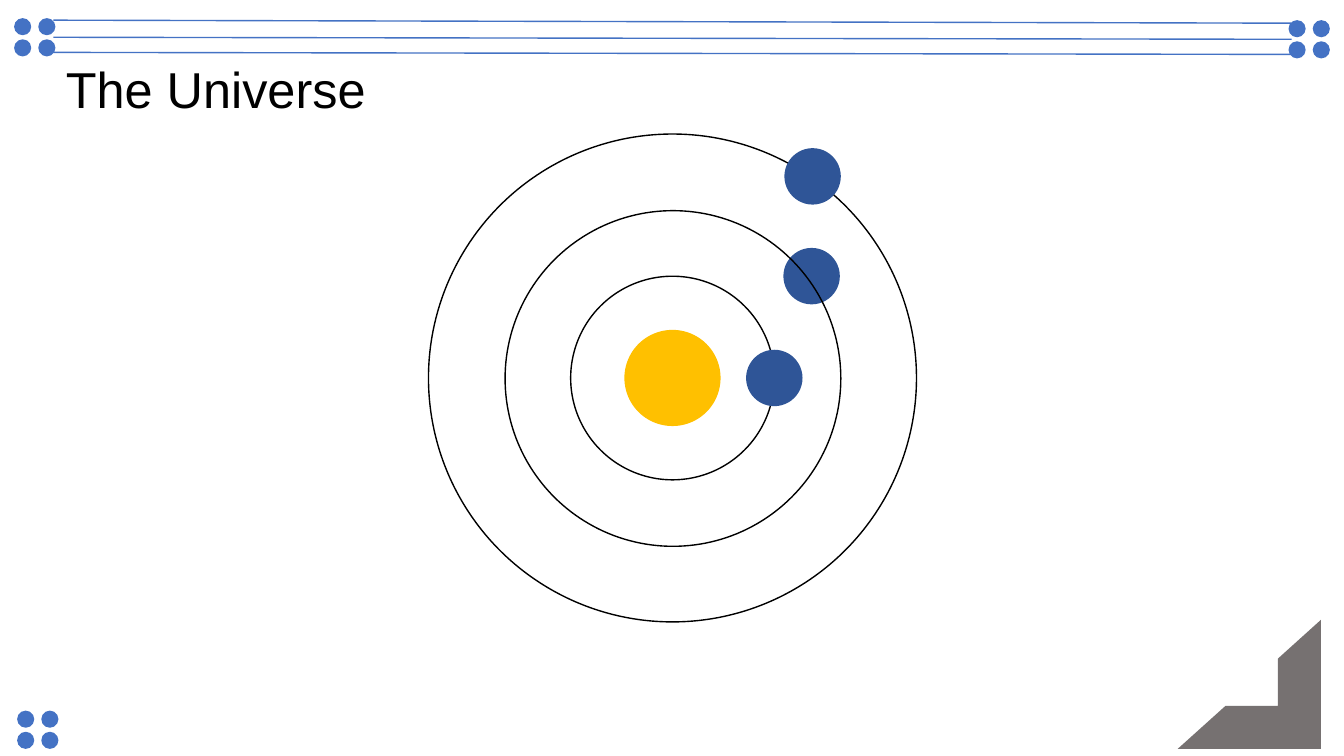
from dataclasses import dataclass
from itertools import product

from lxml import etree
from pptx import Presentation
from pptx.dml.color import RGBColor
from pptx.enum.shapes import MSO_CONNECTOR, MSO_SHAPE
from pptx.enum.text import MSO_ANCHOR, MSO_AUTO_SIZE, PP_ALIGN
from pptx.oxml.ns import qn
from pptx.util import Emu, Pt

OVAL = MSO_SHAPE.OVAL
HALF_FRAME = MSO_SHAPE.HALF_FRAME
STRAIGHT = MSO_CONNECTOR.STRAIGHT
MIDDLE = MSO_ANCHOR.MIDDLE
FIXED_SIZE = MSO_AUTO_SIZE.NONE
CENTER = PP_ALIGN.CENTER
EMU_PER_PX = 9144
TITLE_ONLY = 5


@dataclass(frozen=True)
class Theme:
    """Colours, type and line sizes of the slide."""
    accent: RGBColor = RGBColor(0x44, 0x72, 0xC4)
    planet: RGBColor = RGBColor(0x2F, 0x55, 0x97)
    sun: RGBColor = RGBColor(0xFF, 0xC0, 0x00)
    corner: RGBColor = RGBColor(0x76, 0x71, 0x71)
    ink: RGBColor = RGBColor(0x00, 0x00, 0x00)
    font: str = "Arial"
    title_size: Pt = Pt(36)
    line_width: Pt = Pt(1)


THEME = Theme()
SUN_CENTER = (667, 375)
SUN_DIAMETER = 94
PLANET_DIAMETER = 56
DOT_DIAMETER = 17
DOT_PITCH = (24, 21)
DOT_CLUSTERS = ((14, 18), (17, 705), (1278, 20))
RULES = ((20, 23), (37, 39), (52, 54))


def px(length):
    """Turn a length in px into EMU."""
    return Emu(length * EMU_PER_PX)


def apply_format(target, values):
    """Set each attribute of the target from a dict."""
    for name, value in values.items():
        setattr(target, name, value)


def add_shape(slide, kind, box, fill=None, line=None):
    """Add a preset shape with an optional fill and outline."""
    shape = slide.shapes.add_shape(kind, *map(px, box))
    shape.shadow.inherit = False
    if fill is None:
        shape.fill.background()
    else:
        shape.fill.solid()
        shape.fill.fore_color.rgb = fill
    if line is None:
        shape.line.fill.background()
    else:
        shape.line.color.rgb = line
        shape.line.width = THEME.line_width
    return shape


def add_circle(slide, center, diameter, fill=None, line=None):
    """Add a circle around a centre point."""
    left, top = (value - diameter // 2 for value in center)
    add_shape(slide, OVAL, (left, top, diameter, diameter), fill, line)


def add_dot_cluster(slide, left, top):
    """Add a two by two block of dots."""
    for row, column in product(range(2), repeat=2):
        box = (left + column * DOT_PITCH[0], top + row * DOT_PITCH[1],
               DOT_DIAMETER, DOT_DIAMETER)
        add_shape(slide, OVAL, box, THEME.accent)


def add_rule(slide, start_y, end_y):
    """Add one line of the top border."""
    rule = slide.shapes.add_connector(
        STRAIGHT, px(53), px(start_y), px(1281), px(end_y))
    rule.line.color.rgb = THEME.accent
    rule.line.width = THEME.line_width
    etree.SubElement(rule._element.spPr, qn("a:effectLst"))


def add_orbit(slide, diameter):
    """Add an orbit around the sun."""
    add_circle(slide, SUN_CENTER, diameter, line=THEME.ink)


def add_planet(slide, center):
    """Add a planet at a centre point."""
    add_circle(slide, center, PLANET_DIAMETER, THEME.planet)


def set_title(slide, text):
    """Fill, place and format the title placeholder."""
    title = slide.shapes.title
    apply_format(title, {"left": px(54), "top": px(52),
                         "width": px(320), "height": px(71)})
    frame = title.text_frame
    frame.text = text
    apply_format(frame, {"word_wrap": False, "auto_size": FIXED_SIZE,
                         "vertical_anchor": MIDDLE})
    paragraph = frame.paragraphs[0]
    paragraph.alignment = CENTER
    font = paragraph.runs[0].font
    apply_format(font, {"name": THEME.font, "size": THEME.title_size})
    font.color.rgb = THEME.ink


def add_border(slide):
    """Add the dots, lines and corner that frame the slide."""
    for left, top in DOT_CLUSTERS:
        add_dot_cluster(slide, left, top)
    for start_y, end_y in RULES:
        add_rule(slide, start_y, end_y)
    corner = add_shape(slide, HALF_FRAME, (1168, 615, 142, 128), THEME.corner)
    corner.rotation = 180


def add_solar_system(slide):
    """Add the sun with its orbits and planets, back to front."""
    add_circle(slide, SUN_CENTER, SUN_DIAMETER, THEME.sun, THEME.sun)
    add_orbit(slide, 202)
    add_planet(slide, (768, 375))
    add_planet(slide, (805, 274))
    add_orbit(slide, 333)
    add_orbit(slide, 484)
    add_planet(slide, (806, 175))


def main():
    """Build and save the slide."""
    presentation = Presentation()
    apply_format(presentation, {"slide_width": px(1333), "slide_height": px(750)})
    slide = presentation.slides.add_slide(presentation.slide_layouts[TITLE_ONLY])
    set_title(slide, "The Universe")
    add_border(slide)
    add_solar_system(slide)
    presentation.save("out.pptx")


if __name__ == "__main__":
    main()
